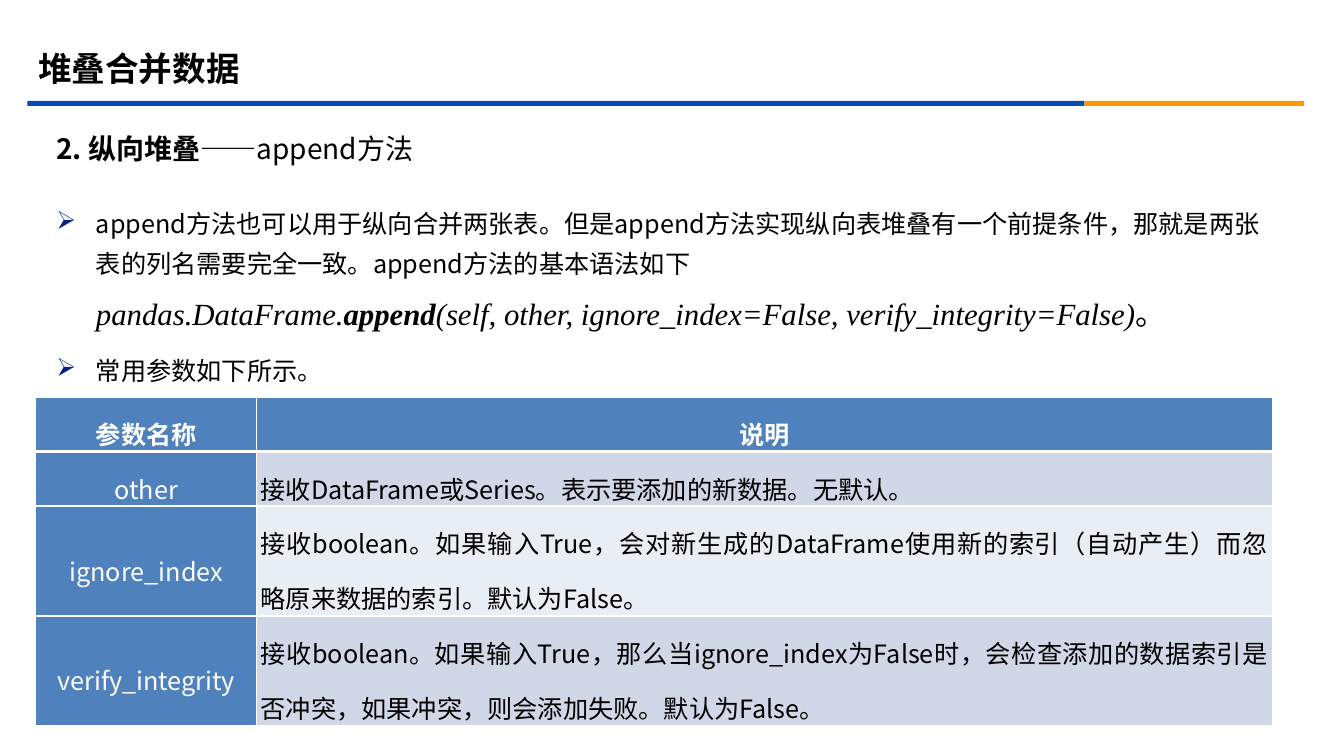
"""Build the slide on stacking tables with the append method."""
from dataclasses import dataclass

from lxml.etree import SubElement
from pptx import Presentation
from pptx.dml.color import RGBColor
from pptx.enum.shapes import MSO_SHAPE
from pptx.enum.text import MSO_ANCHOR, PP_ALIGN
from pptx.oxml import parse_xml
from pptx.oxml.ns import nsdecls, qn
from pptx.util import Cm, Pt

BLACK = RGBColor(0x00, 0x00, 0x00)
WHITE = RGBColor(0xFF, 0xFF, 0xFF)
RULE_BLUE = RGBColor(0x06, 0x4B, 0xB2)
RULE_ORANGE = RGBColor(0xFB, 0x97, 0x08)
BULLET_BLUE = RGBColor(0x03, 0x20, 0x89)
HEAD_BLUE = RGBColor(0x4F, 0x81, 0xBD)
BAND_DARK = RGBColor(0xD0, 0xD8, 0xE8)
BAND_LIGHT = RGBColor(0xE9, 0xED, 0xF4)
SANS = "Noto Sans CJK SC"
SERIF = "Times New Roman"


@dataclass
class Run:
    text: str
    size: float = 18
    bold: bool = False
    italic: bool = False
    font: str = SANS
    color: RGBColor = BLACK


@dataclass
class Para:
    runs: list[Run]
    bullet: bool = False


@dataclass
class Box:
    left: float
    top: float
    width: float
    height: float


@dataclass
class Rule:
    box: Box
    color: RGBColor


@dataclass
class Param:
    name: str
    description: str
    height: float


RULES = [
    Rule(Box(0.69, 2.54, 26.64, 0.13), RULE_BLUE),
    Rule(Box(27.33, 2.54, 5.54, 0.13), RULE_ORANGE),
]
TITLE = [Run("堆叠合并数据", 24, bold=True)]
SUBTITLE = [Run("2. 纵向堆叠", 20, bold=True), Run("——append方法", 20)]
BODY = [
    Para([Run("append方法也可以用于纵向合并两张表。但是append方法实现纵向表堆叠有一个前提条件，"
              "那就是两张表的列名需要完全一致。append方法的基本语法如下")], bullet=True),
    Para([
        Run("pandas.DataFrame.", 22, italic=True, font=SERIF),
        Run("append", 22, bold=True, italic=True, font=SERIF),
        Run("(self, other, ignore_index=False, verify_integrity=False)", 22,
            italic=True, font=SERIF),
        Run("。", 22, font=SERIF),
    ]),
    Para([Run("常用参数如下所示。")], bullet=True),
]
COLUMNS = [5.57, 25.59]
HEADER = Param("参数名称", "说明", 1.37)
PARAMS = [
    Param("other", "接收DataFrame或Series。表示要添加的新数据。无默认。", 1.37),
    Param("ignore_index", "接收boolean。如果输入True，会对新生成的DataFrame使用新的索引"
          "（自动产生）而忽略原来数据的索引。默认为False。", 2.77),
    Param("verify_integrity", "接收boolean。如果输入True，那么当ignore_index为False时，"
          "会检查添加的数据索引是否冲突，如果冲突，则会添加失败。默认为False。", 2.77),
]


def add_run(p, run: Run) -> None:
    """Append one styled run to a paragraph."""
    r = p.add_run()
    r.text = run.text
    r.font.size = Pt(run.size)
    r.font.bold = run.bold
    r.font.italic = run.italic
    r.font.name = run.font
    r.font.color.rgb = run.color
    SubElement(r.font._element, qn("a:ea")).set("typeface", SANS)


def add_frame(s, box: Box, anchor: MSO_ANCHOR):
    """Add a wrapping text box and return its text frame."""
    sp = s.shapes.add_textbox(Cm(box.left), Cm(box.top), Cm(box.width), Cm(box.height))
    tf = sp.text_frame
    tf.word_wrap = True
    tf.vertical_anchor = anchor
    return tf


def add_heading(s, box: Box, runs: list[Run]) -> None:
    """Add a one-line heading."""
    tf = add_frame(s, box, MSO_ANCHOR.MIDDLE)
    for run in runs:
        add_run(tf.paragraphs[0], run)


def add_rule(s, rule: Rule) -> None:
    """Add one coloured bar under the title."""
    b = rule.box
    sp = s.shapes.add_shape(MSO_SHAPE.RECTANGLE, Cm(b.left), Cm(b.top),
                            Cm(b.width), Cm(b.height))
    sp.shadow.inherit = False
    sp.fill.solid()
    sp.fill.fore_color.rgb = rule.color
    sp.line.fill.background()


def add_body(s, box: Box, paras: list[Para]) -> None:
    """Add the bulleted explanation."""
    tf = add_frame(s, box, MSO_ANCHOR.TOP)
    for i, para in enumerate(paras):
        p = tf.add_paragraph() if i else tf.paragraphs[0]
        p.line_spacing = Pt(28.4)
        if i:
            p.space_before = Pt(10)
        pPr = p._p.get_or_add_pPr()
        pPr.set("marL", str(Cm(1)))
        pPr.set("indent", str(Cm(-1 if para.bullet else 0)))
        if para.bullet:
            color = SubElement(pPr, qn("a:buClr"))
            SubElement(color, qn("a:srgbClr")).set("val", str(BULLET_BLUE))
            SubElement(pPr, qn("a:buChar")).set("char", "➢")
        for run in para.runs:
            add_run(p, run)


def fill_cell(cell, run: Run, align: PP_ALIGN, fill: RGBColor, bottom: float) -> None:
    """Write one table cell with its fill and white borders."""
    cell.margin_left = cell.margin_right = Cm(0.1)
    cell.margin_top = cell.margin_bottom = 0
    cell.vertical_anchor = MSO_ANCHOR.MIDDLE
    cell.fill.solid()
    cell.fill.fore_color.rgb = fill
    tcPr = cell._tc.get_or_add_tcPr()
    for i, (side, width) in enumerate(zip("LRTB", (1, 1, 1, bottom))):
        tcPr.insert(i, parse_xml(
            f'<a:ln{side} {nsdecls("a")} w="{Pt(width)}"><a:solidFill>'
            f'<a:srgbClr val="{WHITE}"/></a:solidFill></a:ln{side}>'))
    p = cell.text_frame.paragraphs[0]
    p.alignment = align
    p.line_spacing = 1.5
    add_run(p, run)


def add_params(s, left: float, top: float) -> None:
    """Add the table of parameters."""
    rows = [HEADER, *PARAMS]
    height = sum(row.height for row in rows)
    table = s.shapes.add_table(len(rows), len(COLUMNS), Cm(left), Cm(top),
                               Cm(sum(COLUMNS)), Cm(height)).table
    for column, width in zip(table.columns, COLUMNS):
        column.width = Cm(width)
    for i, row in enumerate(rows):
        table.rows[i].height = Cm(row.height)
        head = i == 0
        bottom = 3 if head else 1
        band = HEAD_BLUE if head else BAND_DARK if i % 2 else BAND_LIGHT
        fill_cell(table.cell(i, 0), Run(row.name, bold=head, color=WHITE),
                  PP_ALIGN.CENTER, HEAD_BLUE, bottom)
        fill_cell(table.cell(i, 1),
                  Run(row.description, bold=head, color=WHITE if head else BLACK),
                  PP_ALIGN.CENTER if head else PP_ALIGN.JUSTIFY, band, bottom)


def main() -> None:
    """Build and save the slide."""
    prs = Presentation()
    prs.slide_width, prs.slide_height = Cm(33.87), Cm(19.05)
    s = prs.slides.add_slide(prs.slide_layouts[6])
    for rule in RULES:
        add_rule(s, rule)
    add_body(s, Box(1.17, 4.88, 30.86, 12.14), BODY)
    add_heading(s, Box(0.71, 0.99, 30.48, 1.47), TITLE)
    add_heading(s, Box(1.17, 3.15, 30.86, 1.19), SUBTITLE)
    add_params(s, 0.9, 10.01)
    prs.save("out.pptx")


if __name__ == "__main__":
    main()
